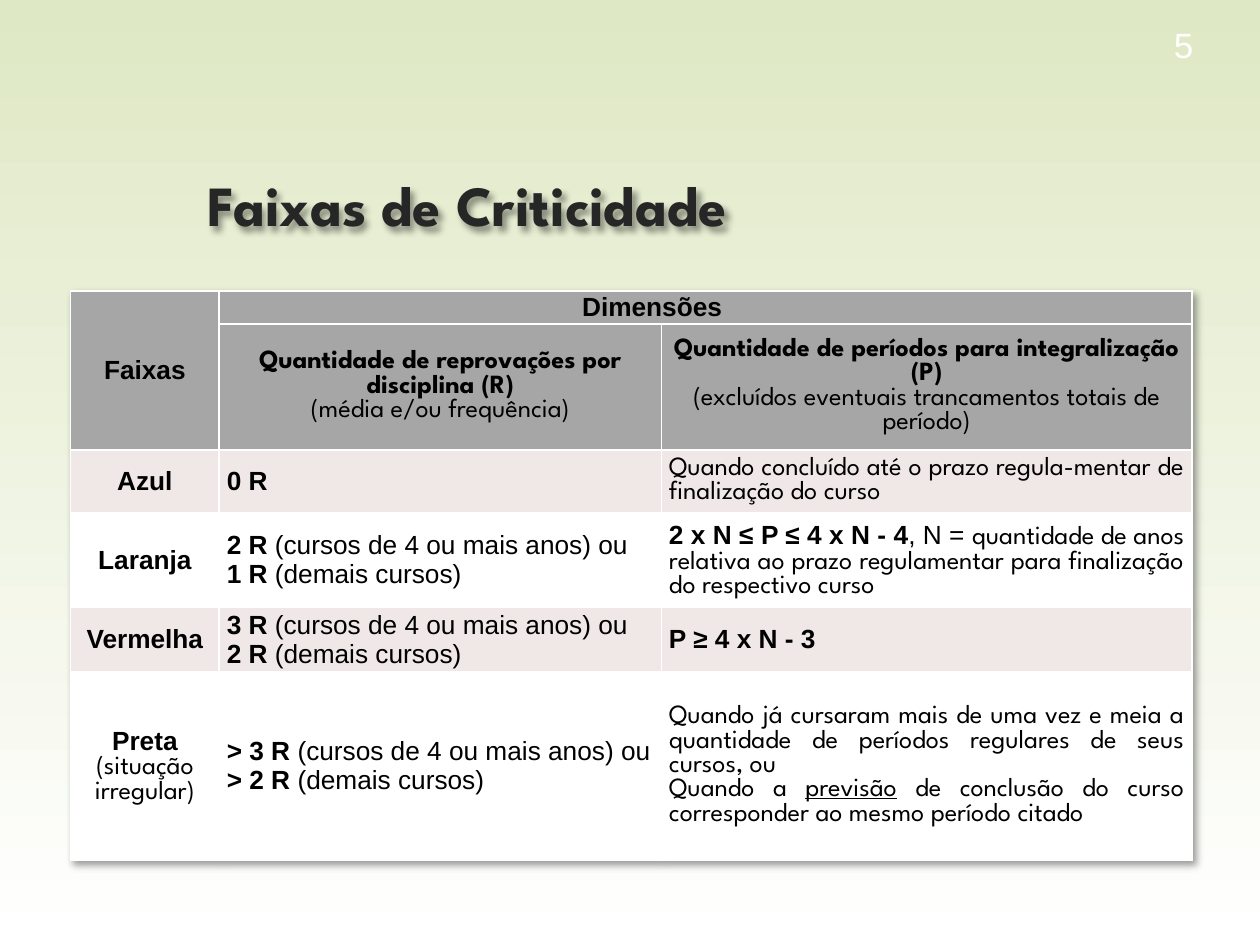
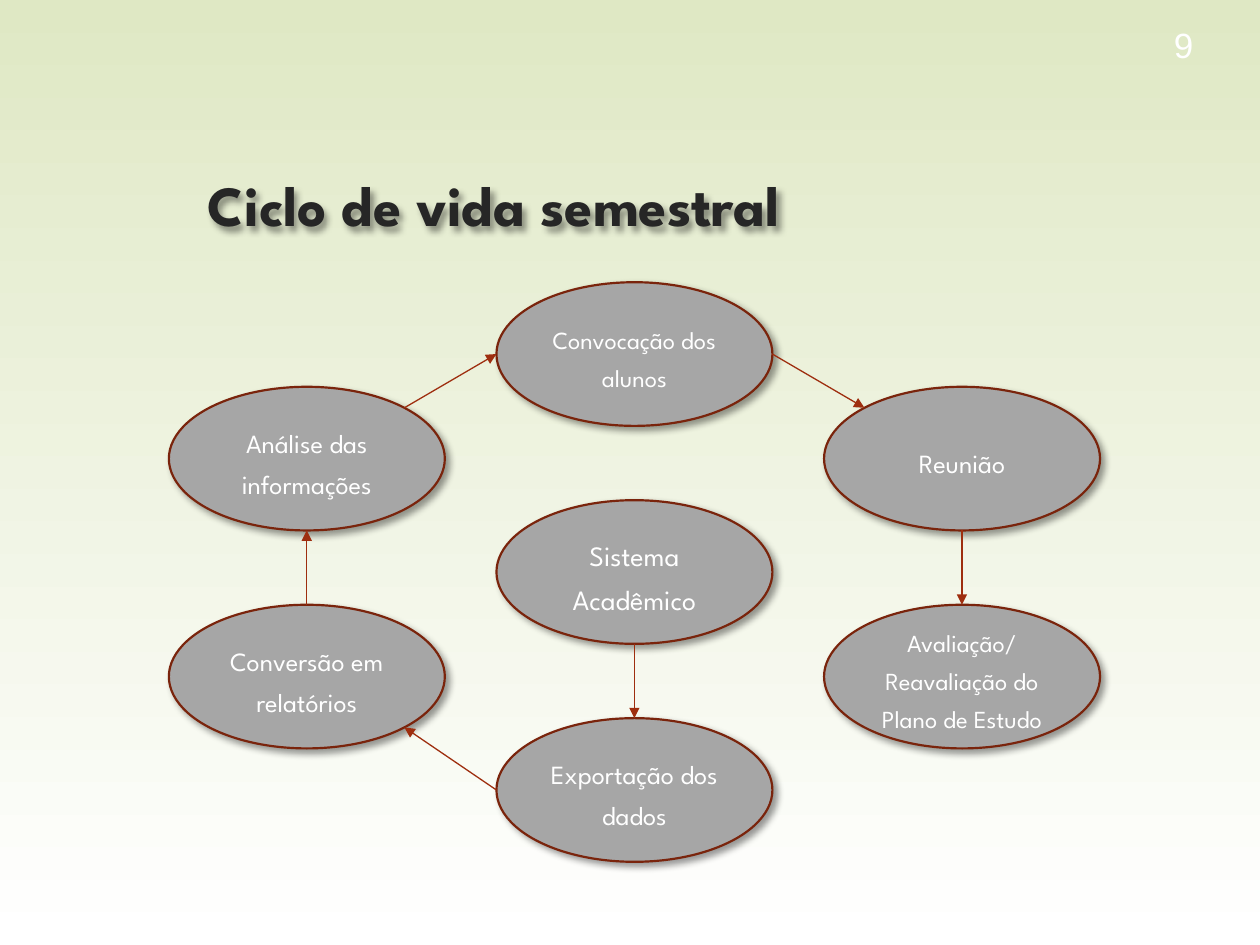
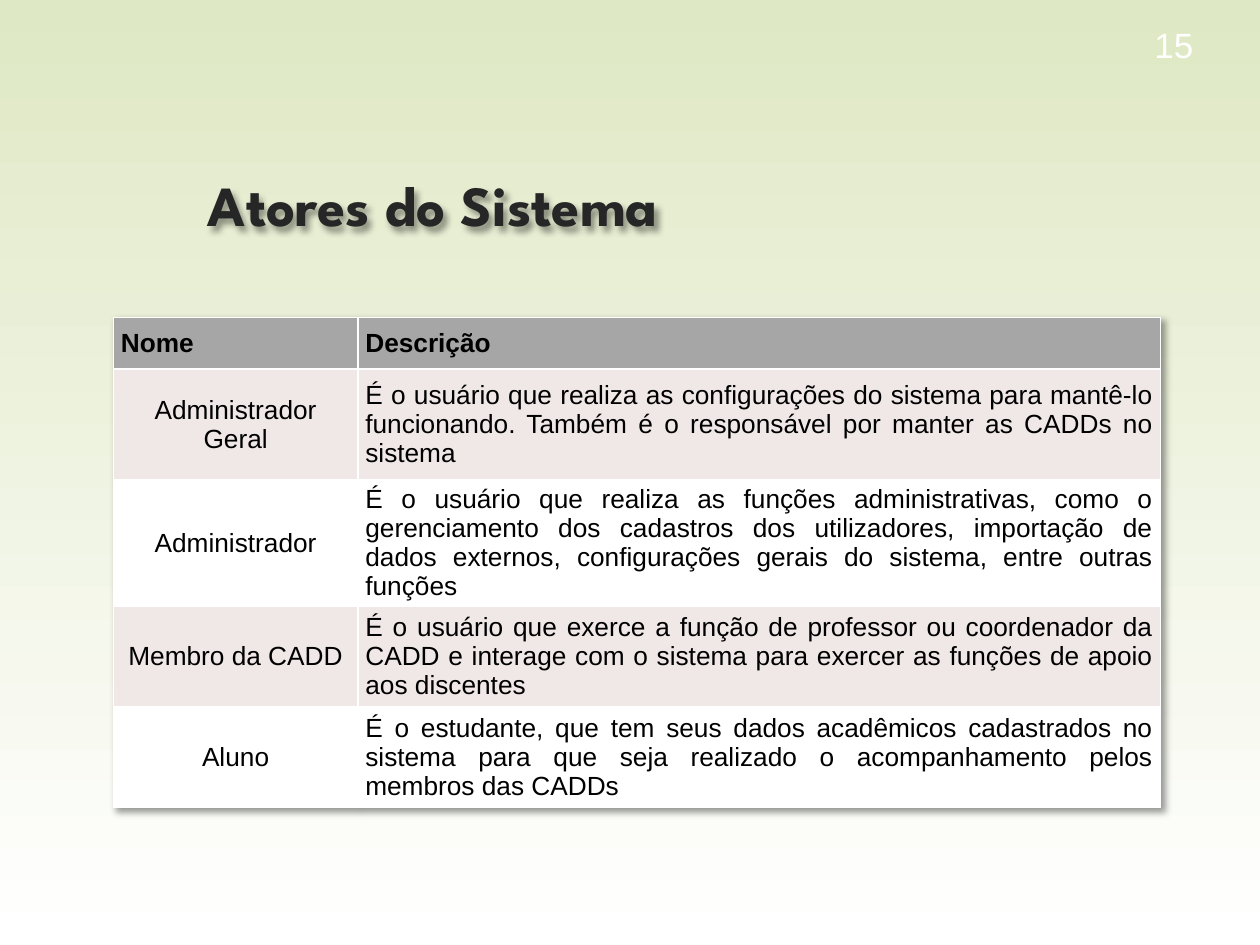
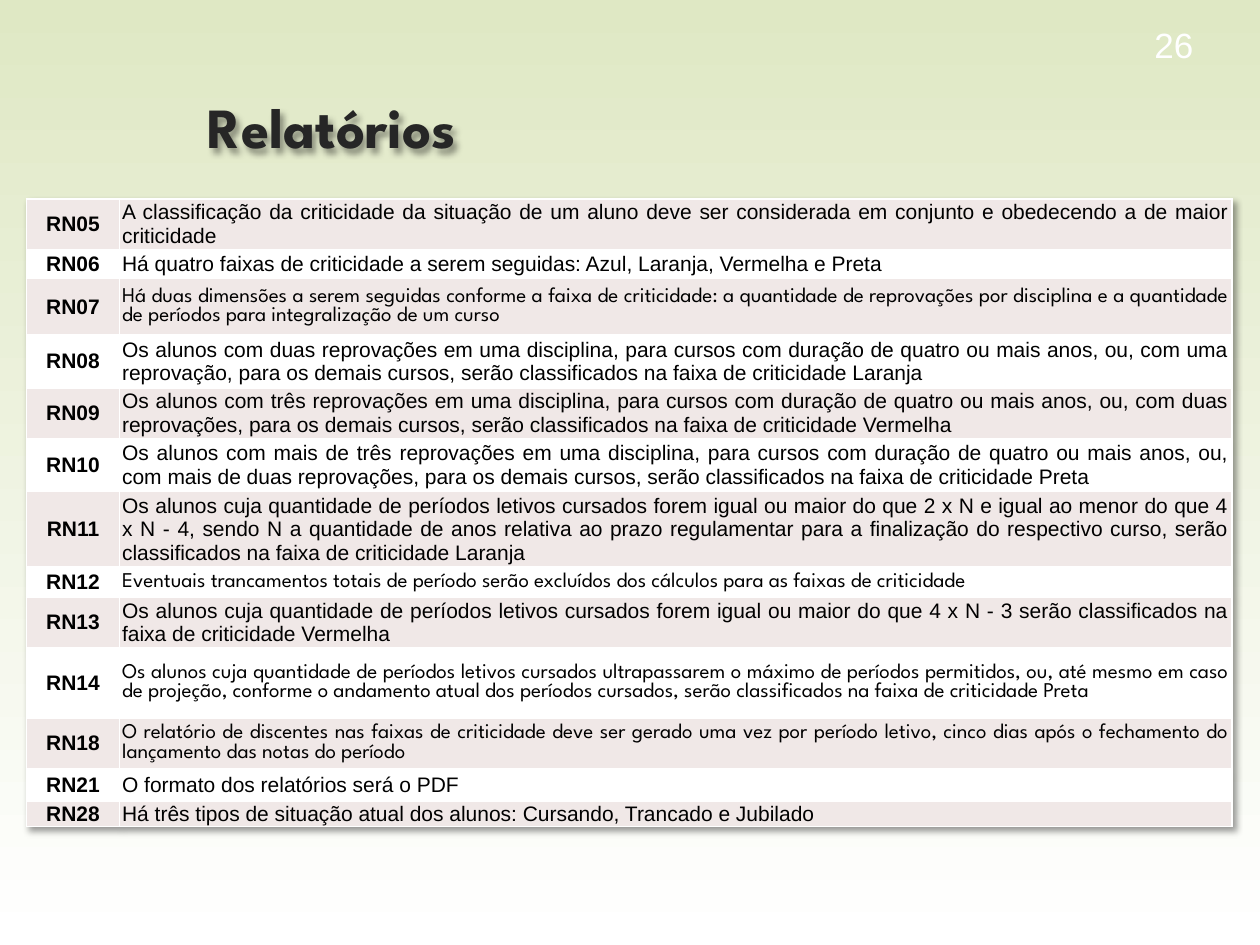
"""Build four slides on student risk bands: two tables, a cycle and a rule list."""
import math
from dataclasses import dataclass
from typing import Any, NamedTuple, Optional, Sequence

import lxml.etree
import pptx
import pptx.dml.color
import pptx.enum.shapes
import pptx.enum.text
import pptx.oxml.ns
import pptx.util

RGB = pptx.dml.color.RGBColor
WHITE = RGB(0xFF, 0xFF, 0xFF)
BLACK = RGB(0x00, 0x00, 0x00)
LEAF = RGB(0xDF, 0xE8, 0xC4)
INK = RGB(0x26, 0x26, 0x26)
GRAY = RGB(0xA6, 0xA6, 0xA6)
TINT = RGB(0xF0, 0xE8, 0xE7)
RUST = RGB(0x7A, 0x24, 0x0C)
BRICK = RGB(0x9E, 0x2E, 0x0F)

ARIAL = "Arial"
LEAGUE = "League Spartan"
ALIGN = pptx.enum.text.PP_ALIGN
ANCHOR = pptx.enum.text.MSO_ANCHOR
LEFT, MID, RIGHT, FULL = ALIGN.LEFT, ALIGN.CENTER, ALIGN.RIGHT, ALIGN.JUSTIFY
Pt = pptx.util.Pt
qn = pptx.oxml.ns.qn

WIDTH = pptx.util.Inches(10)
HEIGHT = pptx.util.Inches(7.5)
STEP = WIDTH // 100


def grid(count: float) -> int:
    return round(count * STEP)


class Area(NamedTuple):
    left: float
    top: float
    width: float
    height: float

    def place(self) -> list[int]:
        return [grid(side) for side in self]


class Run(NamedTuple):
    text: str
    bold: Optional[bool] = None
    font: Optional[str] = None
    under: Optional[bool] = None


@dataclass(frozen=True)
class Para:
    runs: Sequence[Run]
    align: Any = LEFT
    bold: bool = False
    font: str = ARIAL


@dataclass(frozen=True)
class Table:
    left: float
    top: float
    cols: Sequence[float]
    rows: Sequence[float]
    cells: Sequence[Sequence[Sequence[Para]]]
    heads: int
    size: float
    inset: float


@dataclass(frozen=True)
class Node:
    text: str
    col: int
    top: float
    size: float

    def area(self) -> Area:
        return Area(13.4 + 26 * self.col, self.top, 21.9, 11.4)

    def edge(self, angle: float) -> tuple[int, int]:
        area, turn = self.area(), math.radians(angle)
        across = area.left + area.width / 2 * (1 + math.cos(turn))
        down = area.top + area.height / 2 * (1 + math.sin(turn))
        return grid(across), grid(down)


class Link(NamedTuple):
    start: str
    leave: float
    end: str
    enter: float


def para(text: str, align: Any = LEFT, bold: bool = False, font: str = ARIAL) -> Para:
    return Para([Run(text)], align, bold, font)


def write(frame: Any, paras: Sequence[Para], size: float, color: Any, space: Optional[float] = None) -> None:
    for index, item in enumerate(paras):
        line = frame.add_paragraph() if index else frame.paragraphs[0]
        line.alignment = item.align
        line.line_spacing = space
        font = line.font
        font.name, font.size, font.bold = item.font, Pt(size), item.bold
        font.color.rgb = color
        for part in item.runs:
            run = line.add_run()
            run.text = part.text
            if part.bold is not None:
                run.font.bold = part.bold
            if part.font:
                run.font.name = part.font
            if part.under:
                run.font.underline = True


def shade(host: Any) -> None:
    shadow = lxml.etree.SubElement(host, qn("a:outerShdw"), blurRad=str(Pt(4)), dist=str(Pt(3)),
                                   dir="2700000", algn="tl", rotWithShape="0")
    color = lxml.etree.SubElement(shadow, qn("a:srgbClr"), val=str(BLACK))
    lxml.etree.SubElement(color, qn("a:alpha"), val="40000")


def cast(shape: Any) -> None:
    shape.shadow.inherit = False
    shade(shape.element.spPr.find(qn("a:effectLst")))


def start(deck: Any, title: str, page: int, top: float = 11.6) -> Any:
    slide = deck.slides.add_slide(deck.slide_layouts[5])
    head = slide.shapes.title
    head.left, head.top, head.width, head.height = Area(15.5, top, 70.5, 5.7).place()
    frame = head.text_frame
    frame.auto_size = pptx.enum.text.MSO_AUTO_SIZE.NONE
    frame.vertical_anchor = ANCHOR.TOP
    frame.margin_top, frame.margin_bottom = grid(1.9), 0
    write(frame, [para(title, bold=True, font=LEAGUE)], 32.4, INK)
    cast(head)
    box = slide.shapes.add_textbox(*Area(85.7, 1, 10, 5).place())
    box.text_frame.word_wrap = True
    box.text_frame.vertical_anchor = ANCHOR.MIDDLE
    write(box.text_frame, [para(str(page), RIGHT)], 20, WHITE)
    return slide


def frame_cell(cell: Any) -> None:
    props = cell._tc.get_or_add_tcPr()
    for side in ("lnL", "lnR", "lnT", "lnB"):
        line = lxml.etree.SubElement(props, qn(f"a:{side}"), w=str(Pt(1)))
        fill = lxml.etree.SubElement(line, qn("a:solidFill"))
        lxml.etree.SubElement(fill, qn("a:srgbClr"), val=str(WHITE))


def draw_table(slide: Any, data: Table) -> Any:
    area = Area(data.left, data.top, sum(data.cols), sum(data.rows))
    table = slide.shapes.add_table(len(data.rows), len(data.cols), *area.place()).table
    table.first_row = table.horz_banding = False
    effect = lxml.etree.Element(qn("a:effectLst"))
    shade(effect)
    table._tbl.tblPr.insert(0, effect)
    for col, width in zip(table.columns, data.cols):
        col.width = grid(width)
    for index, (row, height) in enumerate(zip(table.rows, data.rows)):
        row.height = grid(height)
        band = (TINT, WHITE)[(index - data.heads) % 2]
        for cell, paras in zip(row.cells, data.cells[index]):
            frame_cell(cell)
            cell.fill.solid()
            cell.fill.fore_color.rgb = GRAY if index < data.heads else band
            cell.margin_left = cell.margin_right = grid(data.inset)
            cell.margin_top = cell.margin_bottom = 0
            cell.vertical_anchor = ANCHOR.MIDDLE
            write(cell.text_frame, paras, data.size, BLACK)
    return table


def draw_node(slide: Any, node: Node) -> None:
    shape = slide.shapes.add_shape(pptx.enum.shapes.MSO_SHAPE.OVAL, *node.area().place())
    shape.fill.solid()
    shape.fill.fore_color.rgb = GRAY
    shape.line.color.rgb = RUST
    shape.line.width = Pt(1.25)
    cast(shape)
    shape.text_frame.word_wrap = True
    shape.text_frame.vertical_anchor = ANCHOR.MIDDLE
    paras = [para(line, MID, font=LEAGUE) for line in node.text.split("\n")]
    write(shape.text_frame, paras, node.size, WHITE, 1.3)


def draw_link(slide: Any, begin: tuple[int, int], end: tuple[int, int]) -> None:
    line = slide.shapes.add_connector(pptx.enum.shapes.MSO_CONNECTOR.STRAIGHT, *begin, *end)
    line.line.color.rgb = BRICK
    line.line.width = Pt(0.75)
    props = line.element.spPr
    lxml.etree.SubElement(props.find(qn("a:ln")), qn("a:tailEnd"), type="triangle")
    lxml.etree.SubElement(props, qn("a:effectLst"))


def name(text: str) -> list[Para]:
    return [para(text, MID, True)]


def limit(sign: str, long: int, short: int) -> list[Para]:
    return [Para([Run(f"{sign}{count} R", True), Run(f" ({kind}")]) for count, kind in (
        (long, "cursos de 4 ou mais anos) ou"), (short, "demais cursos)"))]


def topic(text: str, note: str) -> list[Para]:
    return [para(text, MID, True, LEAGUE), para(note, MID, font=LEAGUE)]


BANDS = Table(5.6, 23.1, (11.8, 35.1, 42.1), (2.6, 10, 5, 7.5, 5.1, 15), (
    (name("Faixas"), [para("Dimensões", bold=True)], ()),
    ((),
     topic("Quantidade de reprovações por disciplina (R)", "(média e/ou frequência)"),
     topic("Quantidade de períodos para integralização (P)",
           "(excluídos eventuais trancamentos totais de período)")),
    (name("Azul"), [para("0 R", bold=True)],
     [para("Quando concluído até o prazo regula-mentar de finalização do curso", FULL, font=LEAGUE)]),
    (name("Laranja"), limit("", 2, 1),
     [Para([Run("2 x N ≤ P ≤ 4 x N - 4", True), Run(", N = "),
            Run("quantidade de anos relativa ao prazo regulamentar para finalização do respectivo curso",
                font=LEAGUE)], FULL)]),
    (name("Vermelha"), limit("", 3, 2), [para("P ≥ 4 x N - 3", FULL, True)]),
    (name("Preta") + [para("(situação irregular)", MID, font=LEAGUE)], limit("> ", 3, 2),
     [para("Quando já cursaram mais de uma vez e meia a quantidade de períodos regulares de seus "
           "cursos, ou", FULL, font=LEAGUE),
      Para([Run("Quando a "), Run("previsão", under=True),
            Run(" de conclusão do curso corresponder ao mesmo período citado")], FULL, font=LEAGUE)]),
), 2, 15, 0.6)

NODES = {
    "system": Node("Sistema Acadêmico", 1, 39.7, 16),
    "export": Node("Exportação dos dados", 1, 57, 15),
    "report": Node("Conversão em relatórios", 0, 48, 15),
    "study": Node("Análise das informações", 0, 30.7, 15),
    "call": Node("Convocação dos alunos", 1, 22.4, 14),
    "meet": Node("Reunião", 2, 30.7, 15),
    "review": Node("Avaliação/\nReavaliação do Plano de Estudo", 2, 48, 14),
}
LINKS = (
    Link("system", 90, "export", 270),
    Link("export", 180, "report", 45),
    Link("report", 270, "study", 90),
    Link("study", 315, "call", 180),
    Link("call", 0, "meet", 225),
    Link("meet", 90, "review", 270),
)

ROLES = (
    ("Administrador Geral", "É o usuário que realiza as configurações do sistema para mantê-lo funcionando. "
     "Também é o responsável por manter as CADDs no sistema"),
    ("Administrador", "É o usuário que realiza as funções administrativas, como o gerenciamento dos cadastros "
     "dos utilizadores, importação de dados externos, configurações gerais do sistema, entre outras funções"),
    ("Membro da CADD", "É o usuário que exerce a função de professor ou coordenador da CADD e interage com o "
     "sistema para exercer as funções de apoio aos discentes"),
    ("Aluno", "É o estudante, que tem seus dados acadêmicos cadastrados no sistema para que seja realizado o "
     "acompanhamento pelos membros das CADDs"),
)
ACTORS = Table(9, 25.2, (19.4, 63.7), (4.1, 8.8, 10, 8, 8), (
    tuple([para(text, bold=True)] for text in ("Nome", "Descrição")),
    *(([para(role, MID)], [para(text, FULL)]) for role, text in ROLES),
), 1, 15, 0.6)

RULES = (
    ("RN05", 2.3, ARIAL, "A classificação da criticidade da situação de um aluno deve ser considerada em "
     "conjunto e obedecendo a de maior criticidade"),
    ("RN06", 2.3, ARIAL, "Há quatro faixas de criticidade a serem seguidas: Azul, Laranja, Vermelha e Preta"),
    ("RN07", 4.5, LEAGUE, "Há duas dimensões a serem seguidas conforme a faixa de criticidade: a quantidade de "
     "reprovações por disciplina e a quantidade de períodos para integralização de um curso"),
    ("RN08", 4.2, ARIAL, "Os alunos com duas reprovações em uma disciplina, para cursos com duração de quatro ou "
     "mais anos, ou, com uma reprovação, para os demais cursos, serão classificados na faixa de criticidade "
     "Laranja"),
    ("RN09", 3.7, ARIAL, "Os alunos com três reprovações em uma disciplina, para cursos com duração de quatro ou "
     "mais anos, ou, com duas reprovações, para os demais cursos, serão classificados na faixa de criticidade "
     "Vermelha"),
    ("RN10", 4.2, ARIAL, "Os alunos com mais de três reprovações em uma disciplina, para cursos com duração de "
     "quatro ou mais anos, ou, com mais de duas reprovações, para os demais cursos, serão classificados na "
     "faixa de criticidade Preta"),
    ("RN11", 5.6, ARIAL, "Os alunos cuja quantidade de períodos letivos cursados forem igual ou maior do que "
     "2 x N e igual ao menor do que 4 x N - 4, sendo N a quantidade de anos relativa ao prazo regulamentar "
     "para a finalização do respectivo curso, serão classificados na faixa de criticidade Laranja"),
    ("RN12", 2.4, LEAGUE, "Eventuais trancamentos totais de período serão excluídos dos cálculos para as faixas "
     "de criticidade"),
    ("RN13", 3.1, ARIAL, "Os alunos cuja quantidade de períodos letivos cursados forem igual ou maior do que "
     "4 x N - 3 serão classificados na faixa de criticidade Vermelha"),
    ("RN14", 5.6, LEAGUE, "Os alunos cuja quantidade de períodos letivos cursados ultrapassarem o máximo de "
     "períodos permitidos, ou, até mesmo em caso de projeção, conforme o andamento atual dos períodos "
     "cursados, serão classificados na faixa de criticidade Preta"),
    ("RN18", 2.3, LEAGUE, "O relatório de discentes nas faixas de criticidade deve ser gerado uma vez por período "
     "letivo, cinco dias após o fechamento do lançamento das notas do período"),
    ("RN21", 2.6, ARIAL, "O formato dos relatórios será o PDF"),
    ("RN28", 0.8, ARIAL, "Há três tipos de situação atual dos alunos: Cursando, Trancado e Jubilado"),
)
REPORTS = Table(2.1, 15.8, (7.4, 88.3), [height for _, height, _, _ in RULES],
                [(name(code), [para(text, FULL, font=font)]) for code, _, font, text in RULES], 0, 12, 0.2)


def main() -> None:
    deck = pptx.Presentation()
    deck.slide_width, deck.slide_height = WIDTH, HEIGHT
    back = deck.slide_master.background.fill
    back.gradient()
    back.gradient_angle = 90
    for stop, color in zip(back.gradient_stops, (WHITE, LEAF)):
        stop.color.rgb = color

    table = draw_table(start(deck, "Faixas de Criticidade", 5), BANDS)
    table.cell(0, 0).merge(table.cell(1, 0))
    table.cell(0, 1).merge(table.cell(0, 2))
    table.cell(0, 1).margin_left = grid(28.8)

    cycle = start(deck, "Ciclo de vida semestral", 9)
    for node in NODES.values():
        draw_node(cycle, node)
    for link in LINKS:
        draw_link(cycle, NODES[link.start].edge(link.leave), NODES[link.end].edge(link.enter))

    draw_table(start(deck, "Atores do Sistema", 15), ACTORS)
    draw_table(start(deck, "Relatórios", 26, 5.4), REPORTS)
    deck.save("out.pptx")


if __name__ == "__main__":
    main()
